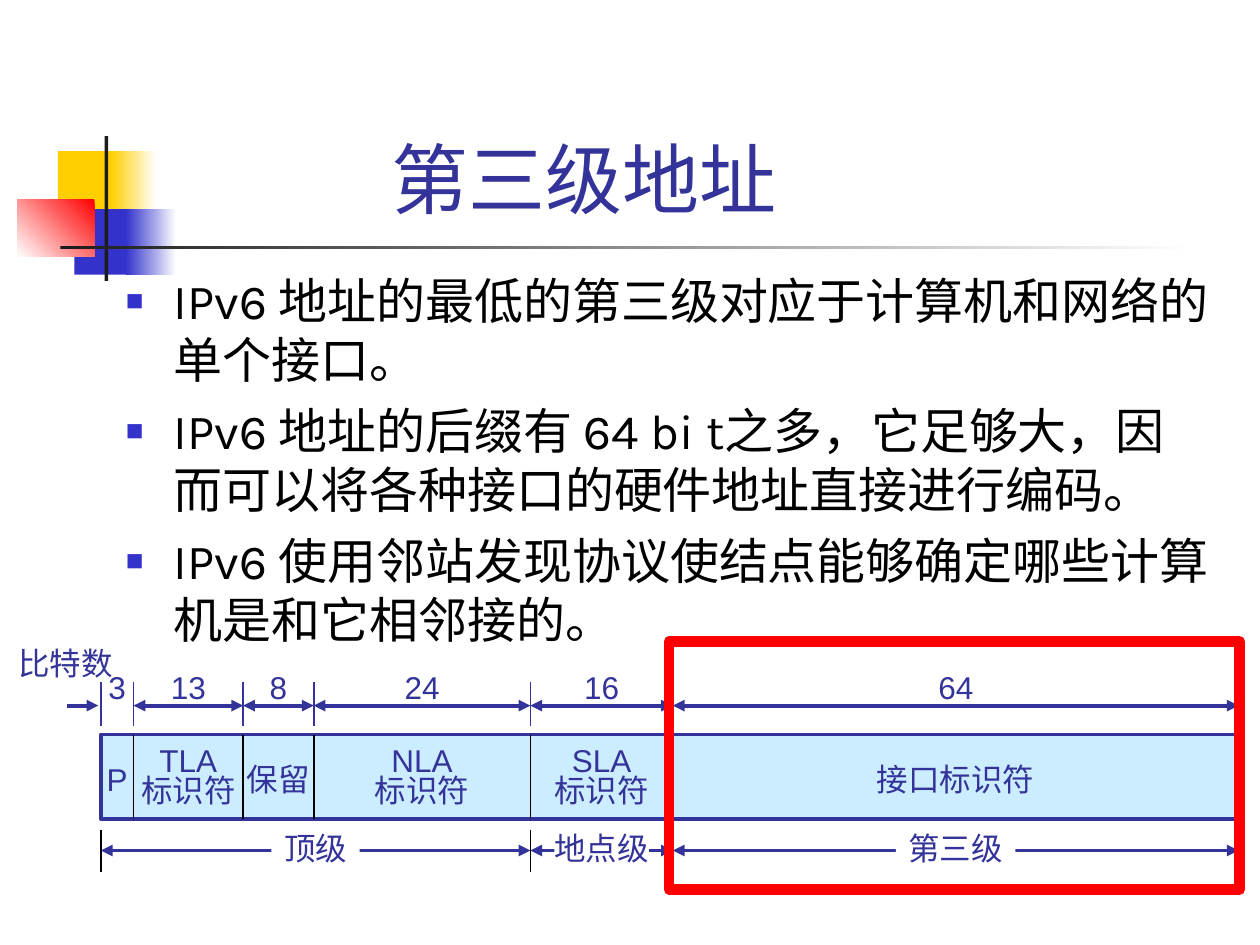
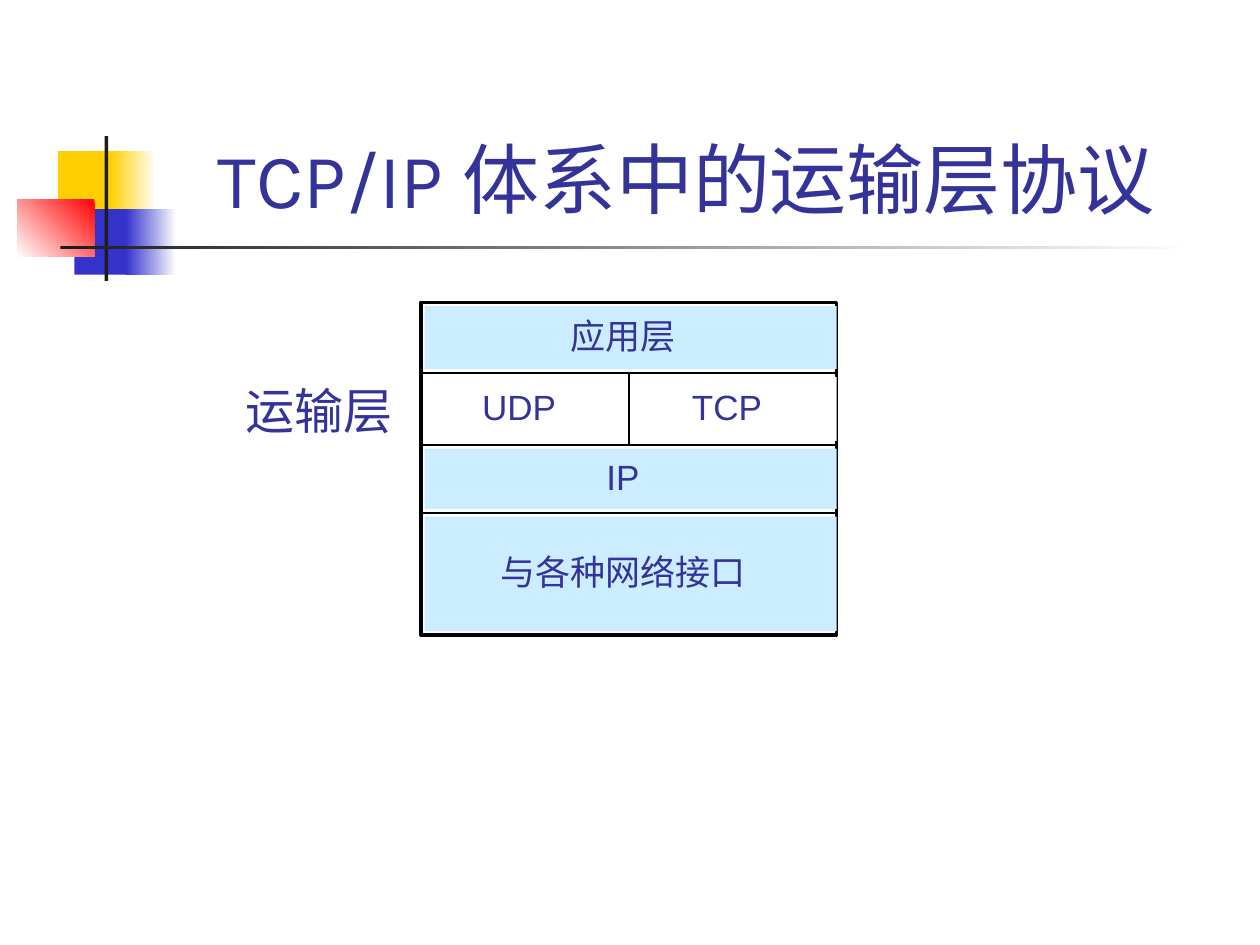
from dataclasses import dataclass
from itertools import accumulate, pairwise

from lxml.etree import SubElement
from pptx import Presentation
from pptx.dml.color import RGBColor
from pptx.enum.shapes import MSO_CONNECTOR, MSO_SHAPE
from pptx.enum.text import MSO_ANCHOR, MSO_AUTO_SIZE, PP_ALIGN
from pptx.oxml.ns import qn
from pptx.util import Inches, Pt


@dataclass(frozen=True)
class Theme:
    ink: str = "333399"
    black: str = "000000"
    white: str = "FFFFFF"
    pale: str = "CCECFF"
    yellow: str = "FFCF01"
    blue: str = "3333CC"
    red: str = "FF0000"
    bar: str = "1C1C1C"
    heading_font: str = "Karla"
    label_font: str = "Arial"
    title_size: int = 44
    body_size: int = 28
    stack_size: int = 20
    field_size: int = 18


THEME = Theme()
TITLE_ONLY = 5
NO_MARGINS = dict.fromkeys(("margin_left", "margin_right", "margin_top", "margin_bottom"), 0)


def apply_format(target, values):
    for name, value in values.items():
        setattr(target, name, value)


def place(shape, left, top, width, height):
    sides = zip(("left", "top", "width", "height"), (left, top, width, height))
    apply_format(shape, {name: Inches(value) for name, value in sides})


def write(shape, lines, size, font, color, frame_format, paragraph_format):
    """Fill a shape with one paragraph per line, all in the same type."""
    frame = shape.text_frame
    frame.text = "\n".join(lines)
    apply_format(frame, {"auto_size": MSO_AUTO_SIZE.NONE, **frame_format})
    for paragraph in frame.paragraphs:
        apply_format(paragraph, paragraph_format)
        for run in paragraph.runs:
            apply_format(run.font, {"size": Pt(size), "name": font})
            run.font.color.rgb = RGBColor.from_string(color)
            SubElement(run.font._element, qn("a:ea"), typeface=font)


def add_box(slide, box, fill=None, line=None, line_width=1):
    shape = slide.shapes.add_shape(MSO_SHAPE.RECTANGLE, *map(Inches, box))
    shape.shadow.inherit = False
    if fill:
        shape.fill.solid()
        shape.fill.fore_color.rgb = RGBColor.from_string(fill)
    else:
        shape.fill.background()
    if line:
        shape.line.color.rgb = RGBColor.from_string(line)
        shape.line.width = Pt(line_width)
    else:
        shape.line.fill.background()
    return shape


def add_gradient_box(slide, box, start, end, angle):
    shape = add_box(slide, box)
    shape.fill.gradient()
    shape.fill.gradient_angle = angle
    for stop, color in zip(shape.fill.gradient_stops, (start, end)):
        stop.color.rgb = RGBColor.from_string(color)


def add_line(slide, start, end, color, width=1, arrows=()):
    """Draw a line; arrows lists the ends with a triangle, headEnd before tailEnd."""
    connector = slide.shapes.add_connector(MSO_CONNECTOR.STRAIGHT, *map(Inches, (*start, *end)))
    connector.line.color.rgb = RGBColor.from_string(color)
    connector.line.width = Pt(width)
    for arrow in arrows:
        SubElement(connector.line._get_or_add_ln(), qn(f"a:{arrow}"), type="triangle")
    SubElement(connector._element.spPr, qn("a:effectLst"))


def add_label(slide, center, text, width=0.95, height=0.4, fill=None,
              size=THEME.field_size, font=THEME.label_font):
    """Write centred text around a point, on a patch of colour if fill is given."""
    x, y = center
    box = (x - width / 2, y - height / 2, width, height)
    label = slide.shapes.add_textbox(*map(Inches, box))
    if fill:
        label.fill.solid()
        label.fill.fore_color.rgb = RGBColor.from_string(fill)
    lines = text.split("\n")
    write(label, lines, size, font, THEME.ink,
          {"word_wrap": False, "vertical_anchor": MSO_ANCHOR.MIDDLE, **NO_MARGINS},
          {"alignment": PP_ALIGN.CENTER, "line_spacing": 0.8 if len(lines) > 1 else 1.0})


def add_corner_blocks(slide, left, top):
    """Draw the coloured blocks and crossing bars, then move them to the slide's layout."""
    first = len(slide.shapes)
    for x, y, solid_width, fade_x, fade_width, color in (
            (0.32, 0.12, 0.48, 0.74, 0.36, THEME.yellow),
            (0.45, 0.58, 0.46, 0.86, 0.4, THEME.blue)):
        add_box(slide, (left + x, top + y, solid_width, 0.52), color)
        add_gradient_box(slide, (left + fade_x, top + y, fade_width, 0.52),
                         color, THEME.white, 0)
    add_gradient_box(slide, (left, top + 0.5, 0.61, 0.46), THEME.red, THEME.white, 225)
    add_box(slide, (left + 0.69, top, 0.03, 1.15), THEME.bar)
    add_gradient_box(slide, (left + 0.34, top + 0.87, 9, 0.03), THEME.bar, THEME.white, 0)
    for shape in list(slide.shapes)[first:]:
        slide.slide_layout.shapes.element.append(shape._element)


def set_title(slide, text, width):
    title = slide.shapes.title
    place(title, 1.19, 0.23, width, 1.6)
    write(title, [text], THEME.title_size, THEME.heading_font, THEME.ink,
          {"vertical_anchor": MSO_ANCHOR.BOTTOM, "word_wrap": True},
          {"alignment": PP_ALIGN.CENTER})


def add_bullets(slide, box, lines):
    body = slide.shapes.add_textbox(*map(Inches, box))
    write(body, lines, THEME.body_size, THEME.heading_font, THEME.black,
          {"word_wrap": True}, {"space_before": Pt(7)})
    for paragraph in body.text_frame.paragraphs:
        properties = paragraph._p.get_or_add_pPr()
        properties.set("marL", str(Inches(0.38)))
        properties.set("indent", str(-Inches(0.38)))
        color = SubElement(properties, qn("a:buClr"))
        SubElement(color, qn("a:srgbClr"), val=THEME.blue)
        SubElement(properties, qn("a:buSzPct"), val="60000")
        SubElement(properties, qn("a:buFont"), typeface=THEME.label_font)
        SubElement(properties, qn("a:buChar"), char="■")


def add_address_fields(slide, left, top):
    """Draw the address bar with bit counts above it and address levels below it."""
    fields = (
        (0.26, "3", "P"),
        (0.87, "13", "TLA\n标识符"),
        (0.56, "8", "保留"),
        (1.72, "24", "NLA\n标识符"),
        (1.13, "16", "SLA\n标识符"),
        (4.49, "64", "接口标识符"),
    )
    levels = ((0, 4, "顶级", 0.7), (4, 5, "地点级", 0.75), (5, 6, "第三级", 0.95))
    bar_height = 0.67
    both_ends = ("headEnd", "tailEnd")
    edges = list(accumulate((field[0] for field in fields), initial=left))
    count_y, level_y = top - 0.23, top + 0.92

    add_box(slide, (left, top, edges[-1] - left, bar_height), THEME.pale, THEME.ink, 2)
    for x in edges[1:-1]:
        add_line(slide, (x, top), (x, top + bar_height), THEME.black)
    for x in edges:
        add_line(slide, (x, top - 0.42), (x, top - 0.07), THEME.ink)

    for (start, end), (width, bits, name) in zip(pairwise(edges), fields):
        middle = (start + end) / 2
        add_label(slide, (middle, top - 0.38), bits, width)
        add_label(slide, (middle, top + 0.35), name, width, 0.58)
        if start > left:
            add_line(slide, (start, count_y), (end, count_y), THEME.ink, 2.25, both_ends)
    add_line(slide, (left - 0.27, count_y), (left - 0.02, count_y), THEME.ink, 2.25, ("tailEnd",))
    add_label(slide, (left - 0.28, top - 0.57), "比特数")

    for first, last, name, width in levels:
        start, end = edges[first], edges[last]
        add_line(slide, (start, level_y), (end, level_y), THEME.ink, 2.25, both_ends)
        add_label(slide, ((start + end) / 2, level_y - 0.02), name, width, fill=THEME.white)
    for x in (edges[0], *(edges[level[1]] for level in levels)):
        add_line(slide, (x, top + 0.76), (x, top + 1.09), THEME.black)

    add_box(slide, (edges[-2] - 0.03, top - 0.74, 4.53, 1.97), line=THEME.red, line_width=6)


def add_protocol_stack(slide, left, top, width):
    """Draw the layers from top to bottom, with dividers between rows and cells."""
    rows = (
        (0.56, THEME.pale, ("应用层",)),
        (0.57, THEME.white, ("UDP", "TCP")),
        (0.54, THEME.pale, ("IP",)),
        (0.97, THEME.pale, ("与各种网络接口",)),
    )
    inset = 0.03
    tops = list(accumulate((row[0] for row in rows), initial=top))
    add_box(slide, (left, top, width, tops[-1] - top), THEME.white, THEME.black, 2)
    for y, (height, fill, names) in zip(tops, rows):
        cell_width = width / len(names)
        for column, name in enumerate(names):
            x = left + column * cell_width
            cell = add_box(slide, (x + inset, y + inset, cell_width - inset, height - 2 * inset),
                           fill)
            write(cell, [name], THEME.stack_size, THEME.label_font, THEME.ink,
                  {"vertical_anchor": MSO_ANCHOR.MIDDLE, **NO_MARGINS,
                   "margin_right": Inches(0.12), "margin_bottom": Inches(0.04)},
                  {"alignment": PP_ALIGN.CENTER})
            if column:
                add_line(slide, (x, y), (x, y + height), THEME.black)
    for y in tops[1:-1]:
        add_line(slide, (left, y), (left + width, y), THEME.black)
    add_label(slide, (left - 0.81, tops[1] + 0.29), "运输层", 1.36, 0.57,
              size=THEME.body_size, font=THEME.heading_font)


def build_address_slide(slide):
    set_title(slide, "第三级地址", 6.89)
    add_bullets(slide, (0.9, 2.1, 8.81, 3.24), (
        "IPv6 地址的最低的第三级对应于计算机和网络的单个接口。",
        "IPv6 地址的后缀有 64 bi t之多，它足够大，因而可以将各种接口的硬件地址直接进行编码。",
        "IPv6 使用邻站发现协议使结点能够确定哪些计算机是和它相邻接的。",
    ))
    add_address_fields(slide, 0.8, 5.83)


def build_transport_slide(slide):
    set_title(slide, "TCP/IP 体系中的运输层协议", 8.52)
    add_protocol_stack(slide, 3.34, 2.4, 3.3)


def main():
    presentation = Presentation()
    apply_format(presentation, {"slide_width": Inches(10), "slide_height": Inches(7.5)})
    layout = presentation.slide_layouts[TITLE_ONLY]
    address_slide, transport_slide = (presentation.slides.add_slide(layout) for _ in range(2))
    add_corner_blocks(address_slide, 0.14, 1.08)
    build_address_slide(address_slide)
    build_transport_slide(transport_slide)
    presentation.save("out.pptx")


if __name__ == "__main__":
    main()
